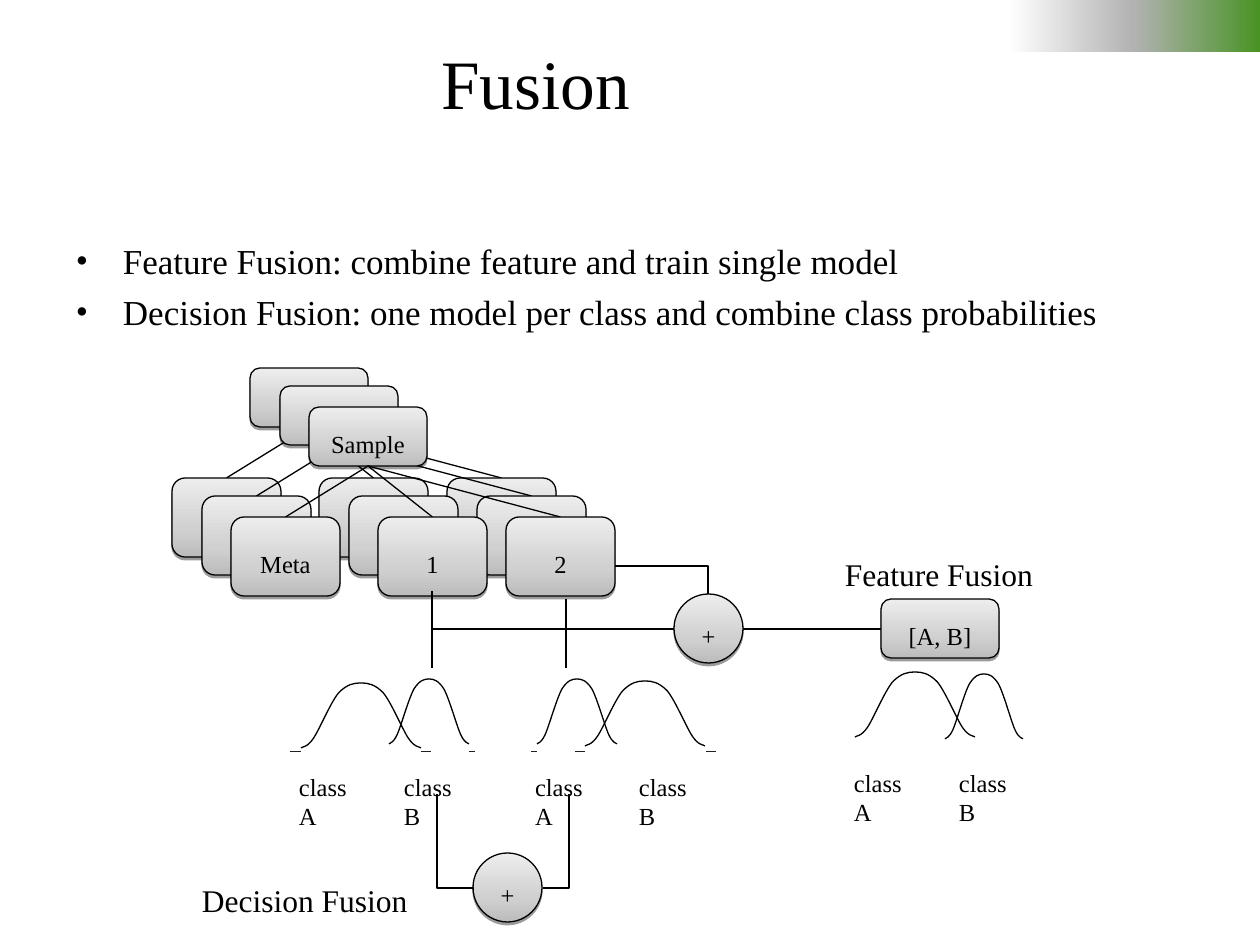
import pptx
import pptx.util
from lxml import etree
from pptx.dml.color import RGBColor
from pptx.enum.shapes import MSO_CONNECTOR, MSO_SHAPE
from pptx.enum.text import MSO_ANCHOR, PP_ALIGN
from pptx.oxml.ns import qn


class Theme:
    font = "Times New Roman"
    ink, paper = "000000", "FFFFFF"
    gray = [(0, "BCBCBC"), (35, "D0D0D0"), (100, "EDEDED")]
    banner = [(80, "FFFFFF"), (90, "B2B2B2"), (100, "489324")]
    title, body, caption, label = 39.6, 20, 18, 14
    line = 0.75


PX_PER_INCH = 126
WIDTH, HEIGHT = 1260, 945
INSETS = (13, 20, 13, 6)
PLAIN_INSETS = (13, 6, 13, 6)

TITLE = "Fusion"
BULLETS = [
    "Feature Fusion: combine feature and train single model",
    "Decision Fusion: one model per class and combine class probabilities",
]

# Stacked sample sheets, back to front: offset, features linked to the sample
LAYERS = [((0, 0), (0, 1, 2)), ((30, 18), (0, 2)), ((59, 39), (0, 1, 2))]
SAMPLE = ("Sample", (250, 368, 118, 59))
FEATURES = [(name, (x, 478, 109, 79)) for name, x in
            [("Meta", 172), ("1", 319), ("2", 447)]]

CAPTIONS = [("Feature Fusion", (832, 535, 216, 64)),
            ("Decision Fusion", (189, 861, 233, 64))]
RESULT = ("[A, B]", (881, 599, 118, 59))
SUMS = [(674, 594, 69, 69), (473, 853, 69, 69)]
LINKS = [(743, 629, 881, 629)]
STEMS = [(432, 591, 432, 668), (566, 599, 566, 668)]
# Each elbow runs sideways from its first point, then up or down
FEATURE_ELBOWS = [(674, 629, 432, 606), (615, 566, 708, 594)]
DECISION_ELBOWS = [(474, 888, 437, 794), (543, 888, 569, 794)]

# Bells: centre, top, half width
PLOTS = [
    dict(bells=[(984, 674, 39), (915, 672, 60)], ticks=[], fill=None,
         labels=[("class A", 841, 748), ("class B", 946, 748)]),
    dict(bells=[(429, 679, 40), (361, 683, 60)],
         ticks=[(290, 301), (421, 431), (469, 475)], fill=Theme.paper,
         labels=[("class A", 286, 752), ("class B", 391, 752)]),
    dict(bells=[(577, 679, 40), (645, 681, 60)],
         ticks=[(531, 537), (575, 585), (706, 716)], fill=Theme.paper,
         labels=[("class B", 626, 752), ("class A", 522, 752)]),
]
BELL_HEIGHT, TICK_Y = 65, 752
# Width, height, wrapping
LABEL_FORMS = {"class A": (96, 57, False), "class B": (93, 57, True)}
# Control points of three joined cubics, foot (0, 1) to peak (1, 0)
BELL_CURVE = [(0, 1), (0.02, 0.98), (0.1, 1), (0.21, 0.85), (0.31, 0.71),
              (0.5, 0.29), (0.63, 0.15), (0.77, 0.02), (0.88, 0), (1, 0)]


def emu(px):
    return pptx.util.Emu(round(px * 914400 / PX_PER_INCH))


def emus(values):
    return [emu(value) for value in values]


def color(code):
    return RGBColor.from_string(code)


def set_gradient(shape, stops, angle):
    shape.fill.gradient()
    gradient = shape._element.spPr.find(qn("a:gradFill"))
    stop_list = gradient.find(qn("a:gsLst"))
    for old in list(stop_list):
        stop_list.remove(old)
    for position, code in stops:
        stop = etree.SubElement(stop_list, qn("a:gs"), pos=str(position * 1000))
        etree.SubElement(stop, qn("a:srgbClr"), val=code)
    gradient.find(qn("a:lin")).set("ang", str(angle * 60000))


def set_line(shape):
    shape.line.color.rgb = color(Theme.ink)
    shape.line.width = pptx.util.Pt(Theme.line)


def add_drop_shadow(shape):
    shape.shadow.inherit = False
    effects = shape._element.spPr.find(qn("a:effectLst"))
    shadow = etree.SubElement(effects, qn("a:outerShdw"), dist="20000",
                              dir="5400000", rotWithShape="0")
    tint = etree.SubElement(shadow, qn("a:srgbClr"), val=Theme.ink)
    etree.SubElement(tint, qn("a:alpha"), val="38000")


def write(shape, lines, size, align=PP_ALIGN.LEFT, anchor=MSO_ANCHOR.TOP,
          wrap=False, insets=INSETS, bullet=False):
    frame = shape.text_frame
    frame.word_wrap = wrap
    frame.vertical_anchor = anchor
    (frame.margin_left, frame.margin_top,
     frame.margin_right, frame.margin_bottom) = emus(insets)
    for index, line in enumerate(lines):
        para = frame.add_paragraph() if index else frame.paragraphs[0]
        para.text = line
        para.alignment = align
        if index:
            para.space_before = pptx.util.Pt(5)
        if bullet:
            properties = para._p.get_or_add_pPr()
            properties.set("marL", str(emu(47)))
            properties.set("indent", str(-emu(47)))
            etree.SubElement(properties, qn("a:buFont"), typeface=Theme.font)
            etree.SubElement(properties, qn("a:buChar"), char="•")
        para.font.name = Theme.font
        para.font.size = pptx.util.Pt(size)
        para.font.color.rgb = color(Theme.ink)


def add_text(shapes, place, lines, size, **options):
    box = shapes.add_textbox(*emus(place))
    write(box, lines, size, **options)
    return box


def add_node(shapes, kind, place, text=""):
    node = shapes.add_shape(kind, *emus(place))
    set_gradient(node, Theme.gray, 270)
    set_line(node)
    add_drop_shadow(node)
    if text:
        write(node, [text], Theme.label, PP_ALIGN.CENTER, MSO_ANCHOR.MIDDLE)


def add_link(shapes, ends, elbow=False):
    kind = MSO_CONNECTOR.ELBOW if elbow else MSO_CONNECTOR.STRAIGHT
    link = shapes.add_connector(kind, *emus(ends))
    set_line(link)
    properties = link._element.spPr
    if elbow:
        properties.find(qn("a:prstGeom")).set("prst", "bentConnector2")
    etree.SubElement(properties, qn("a:effectLst"))


def curve_segments(shape):
    """Turn each three straight segments of a freeform into one cubic curve."""
    path = next(shape._element.iter(qn("a:path")))
    segments = path.findall(qn("a:lnTo"))
    for start in range(0, len(segments), 3):
        curve = etree.SubElement(path, qn("a:cubicBezTo"))
        for segment in segments[start:start + 3]:
            curve.append(segment[0])
            path.remove(segment)


def add_half_bell(shapes, center, top, reach):
    """Draw from foot to peak; a negative reach puts the foot on the left."""
    outline = [(emu(center + reach * (1 - x)), emu(top + BELL_HEIGHT * y))
               for x, y in BELL_CURVE]
    builder = shapes.build_freeform(*outline[0])
    builder.add_line_segments(outline[1:], close=False)
    half = builder.convert_to_shape()
    curve_segments(half)
    half.fill.background()
    half.shadow.inherit = False
    set_line(half)


def add_plot(shapes, plot):
    group = shapes.add_group_shape().shapes
    for center, top, reach in plot["bells"]:
        for side in (-1, 1):
            add_half_bell(group, center, top, side * reach)
    for start, end in plot["ticks"]:
        add_link(group, (start, TICK_Y, end, TICK_Y))
    for text, x, y in plot["labels"]:
        width, height, wrap = LABEL_FORMS[text]
        label = add_text(group, (x, y, width, height), [text], Theme.label, wrap=wrap)
        if plot["fill"]:
            label.fill.solid()
            label.fill.fore_color.rgb = color(plot["fill"])


def add_layer(shapes, offset, linked, front):
    def shift(place):
        return (place[0] + offset[0], place[1] + offset[1], *place[2:])

    name, place = SAMPLE
    left, top, width, height = shift(place)
    hub = (left + width / 2, top + height)
    add_node(shapes, MSO_SHAPE.ROUNDED_RECTANGLE, shift(place), name if front else "")
    for index, (name, place) in enumerate(FEATURES):
        x, y, w, h = shift(place)
        if index in linked:
            add_link(shapes, (*hub, x + w / 2, y))
        add_node(shapes, MSO_SHAPE.ROUNDED_RECTANGLE, (x, y, w, h), name if front else "")


def main():
    deck = pptx.Presentation()
    deck.slide_width, deck.slide_height = emus((WIDTH, HEIGHT))
    page = deck.slides.add_slide(deck.slide_layouts[6])
    shapes = page.shapes

    banner = shapes.add_shape(MSO_SHAPE.RECTANGLE, *emus((0, 0, WIDTH, 52)))
    set_gradient(banner, Theme.banner, 0)
    banner.line.fill.background()
    banner.shadow.inherit = False
    add_text(shapes, (168, 38, 735, 88), [TITLE], Theme.title, align=PP_ALIGN.CENTER,
             anchor=MSO_ANCHOR.MIDDLE, wrap=True, insets=PLAIN_INSETS)
    add_text(shapes, (63, 234, 1134, 136), BULLETS, Theme.body, wrap=True,
             insets=PLAIN_INSETS, bullet=True)

    for offset, linked in LAYERS:
        add_layer(shapes, offset, linked, front=offset == LAYERS[-1][0])
    for text, place in CAPTIONS:
        add_text(shapes, place, [text], Theme.caption)
    add_node(shapes, MSO_SHAPE.ROUNDED_RECTANGLE, RESULT[1], RESULT[0])
    for place in SUMS:
        add_node(shapes, MSO_SHAPE.OVAL, place, "+")
    for plot in PLOTS:
        add_plot(shapes, plot)
    for ends in LINKS + STEMS:
        add_link(shapes, ends)
    for ends in FEATURE_ELBOWS + DECISION_ELBOWS:
        add_link(shapes, ends, elbow=True)
    deck.save("out.pptx")


if __name__ == "__main__":
    main()
